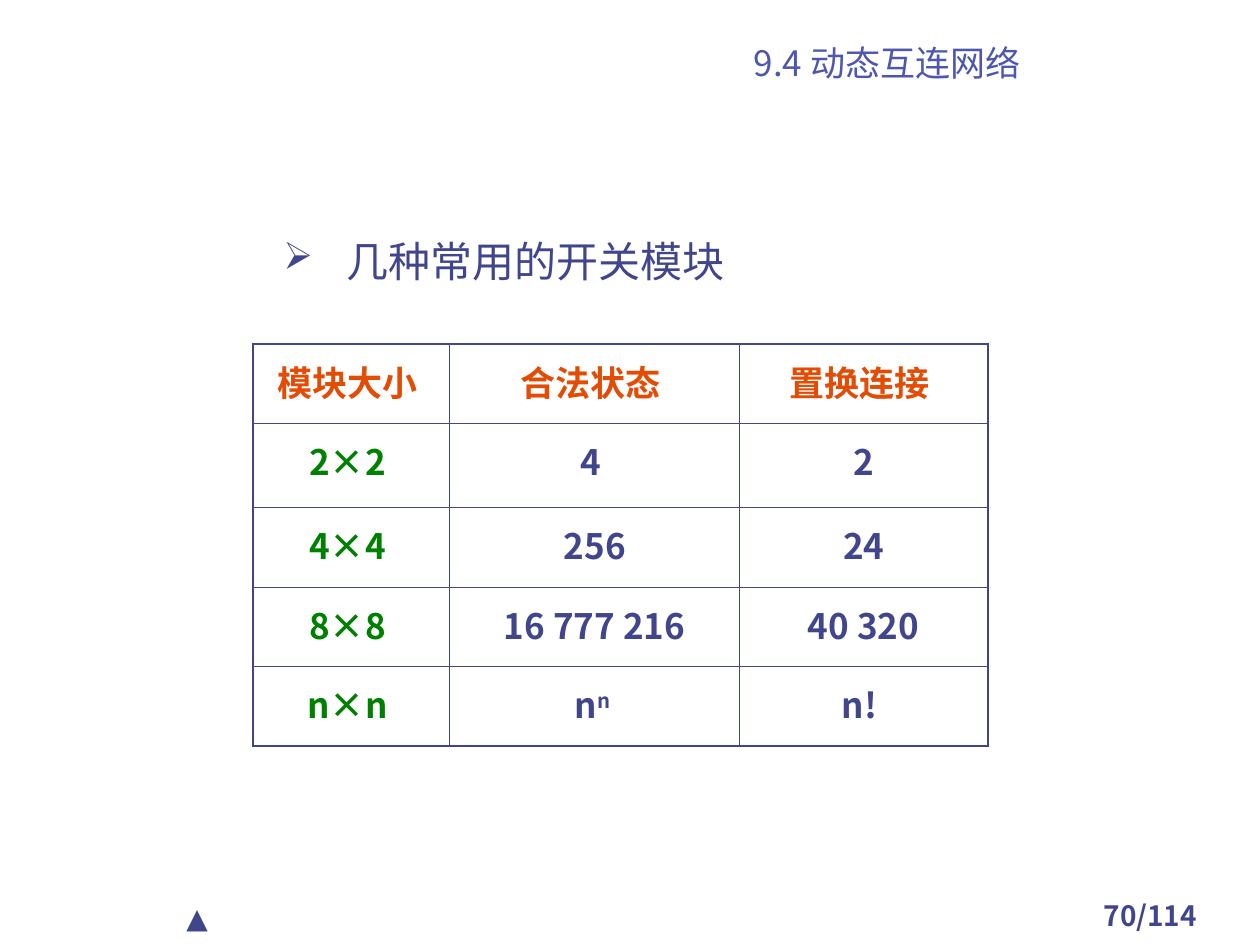
from lxml import etree
from pptx import Presentation
from pptx.dml.color import RGBColor
from pptx.enum.text import MSO_ANCHOR, PP_ALIGN
from pptx.oxml.ns import qn
from pptx.util import Inches, Pt

LEFT, MID = PP_ALIGN.LEFT, PP_ALIGN.CENTER
TOP, BOTTOM = MSO_ANCHOR.TOP, MSO_ANCHOR.BOTTOM
NAVY = RGBColor(0x40, 0x45, 0x8C)
BLUE = RGBColor(0x4F, 0x56, 0xAD)
ORANGE = RGBColor(0xE2, 0x4C, 0x05)
GREEN = RGBColor(0x00, 0x80, 0x00)
NOTO, KARLA = "Noto Sans CJK SC", "Karla"
THICK, THIN = 1.08, 0.45

TITLE = "9.4 动态互连网络"
TOPIC = "几种常用的开关模块"
PAGE = "70/114"
MARK = "▲"
ROWS = [
    ["模块大小 ", "合法状态 ", "置换连接 "],
    ["2×2 ", "4 ", "2"],
    ["4×4 ", "256", "24"],
    ["8×8 ", "16 777 216", "40 320"],
    ["n×n ", ("n", "n "), "n! "],
]
WIDTHS = [1.56, 2.3, 1.97]
HEIGHTS = [0.63, 0.67, 0.63, 0.63, 0.63]


def add_run(para, text, size, color, font=NOTO, bold=False):
    run = para.add_run()
    run.text = text
    run.font.size = Pt(size)
    run.font.bold = bold
    run.font.color.rgb = color
    run.font.name = font
    props = run.font._element
    etree.SubElement(props, qn("a:ea"), typeface=NOTO)
    return props


def add_text(slide, area, text, size, color, font=NOTO, bold=False,
             align=LEFT, anchor=TOP, pad=0.05):
    box = slide.shapes.add_textbox(*map(Inches, area))
    frame = box.text_frame
    frame.word_wrap = True
    frame.vertical_anchor = anchor
    frame.margin_top = frame.margin_bottom = Inches(pad)
    para = frame.paragraphs[0]
    para.alignment = align
    add_run(para, text, size, color, font, bold)
    return para


def add_bullet(para, char):
    props = para._p.get_or_add_pPr()
    props.set("marL", str(Inches(1.19)))
    props.set("indent", str(Inches(-0.5)))
    tint = etree.SubElement(props, qn("a:buClr"))
    etree.SubElement(tint, qn("a:srgbClr"), val=str(NAVY))
    etree.SubElement(props, qn("a:buSzPct"), val="90000")
    etree.SubElement(props, qn("a:buChar"), char=char)


def add_edges(cell, edges):
    props = cell._tc.get_or_add_tcPr()
    for spot, (side, width) in enumerate(edges.items()):
        line = etree.Element(qn("a:ln" + side), w=str(Pt(width)))
        fill = etree.SubElement(line, qn("a:solidFill"))
        etree.SubElement(fill, qn("a:srgbClr"), val=str(NAVY))
        props.insert(spot, line)


def add_grid(slide):
    area = map(Inches, (2.01, 2.73, sum(WIDTHS), sum(HEIGHTS)))
    table = slide.shapes.add_table(len(ROWS), len(WIDTHS), *area).table
    table.first_row = table.horz_banding = False
    for col, width in zip(table.columns, WIDTHS):
        col.width = Inches(width)
    for row, height in zip(table.rows, HEIGHTS):
        row.height = Inches(height)
    for r, row in enumerate(ROWS):
        for c, text in enumerate(row):
            cell = table.cell(r, c)
            cell.fill.background()
            para = cell.text_frame.paragraphs[0]
            para.alignment = MID
            para.line_spacing = 1.1
            para.space_before = Pt(5)
            color = ORANGE if r == 0 else GREEN if c == 0 else NAVY
            base, *power = [text] if isinstance(text, str) else text
            add_run(para, base, 20, color, bold=True)
            for part in power:
                add_run(para, part, 20, color, bold=True).set("baseline", "30000")
            ends = {"L": c == 0, "R": c == len(WIDTHS) - 1,
                    "T": r == 0, "B": r == len(ROWS) - 1}
            add_edges(cell, {side: THICK if end else THIN
                             for side, end in ends.items()})


def main():
    deck = Presentation()
    deck.slide_width, deck.slide_height = Inches(10), Inches(7.5)
    slide = deck.slides.add_slide(deck.slide_layouts[6])
    add_text(slide, (8.42, 7.08, 1.42, 0.33), PAGE, 16, NAVY, bold=True, align=MID)
    mark = add_text(slide, (1.38, 7.1, 1.42, 0.37), MARK, 16, NAVY, KARLA)
    mark.space_before = Pt(10)
    add_text(slide, (4.25, 0.27, 5.58, 0.42), TITLE, 20, BLUE,
             align=MID, anchor=BOTTOM, pad=0.03)
    topic = add_text(slide, (1.46, 1.78, 7.87, 1.16), TOPIC, 24, NAVY, KARLA)
    topic.line_spacing = 1.1
    topic.space_before = Pt(6)
    add_bullet(topic, "➢")
    add_grid(slide)
    deck.save("out.pptx")


if __name__ == "__main__":
    main()
